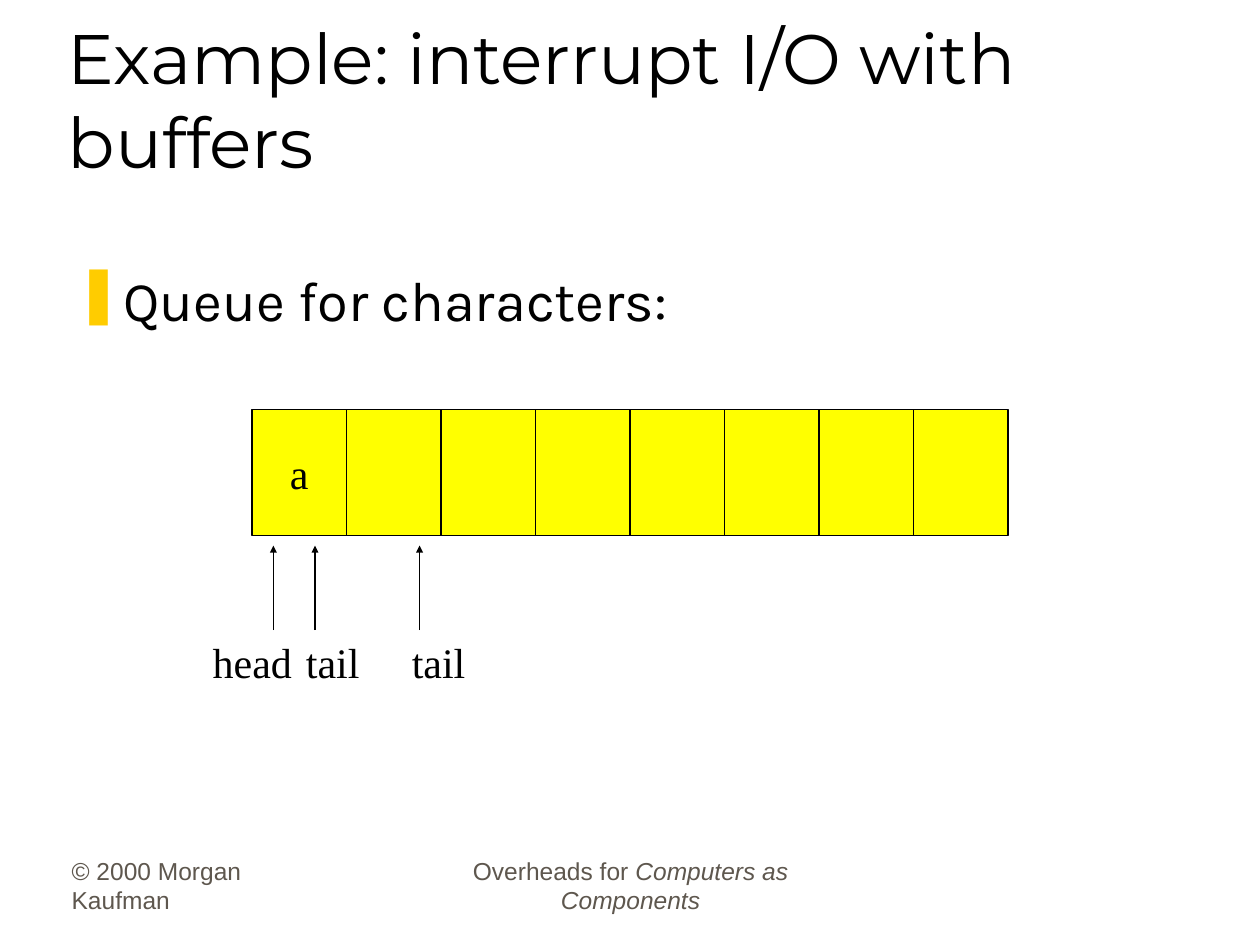
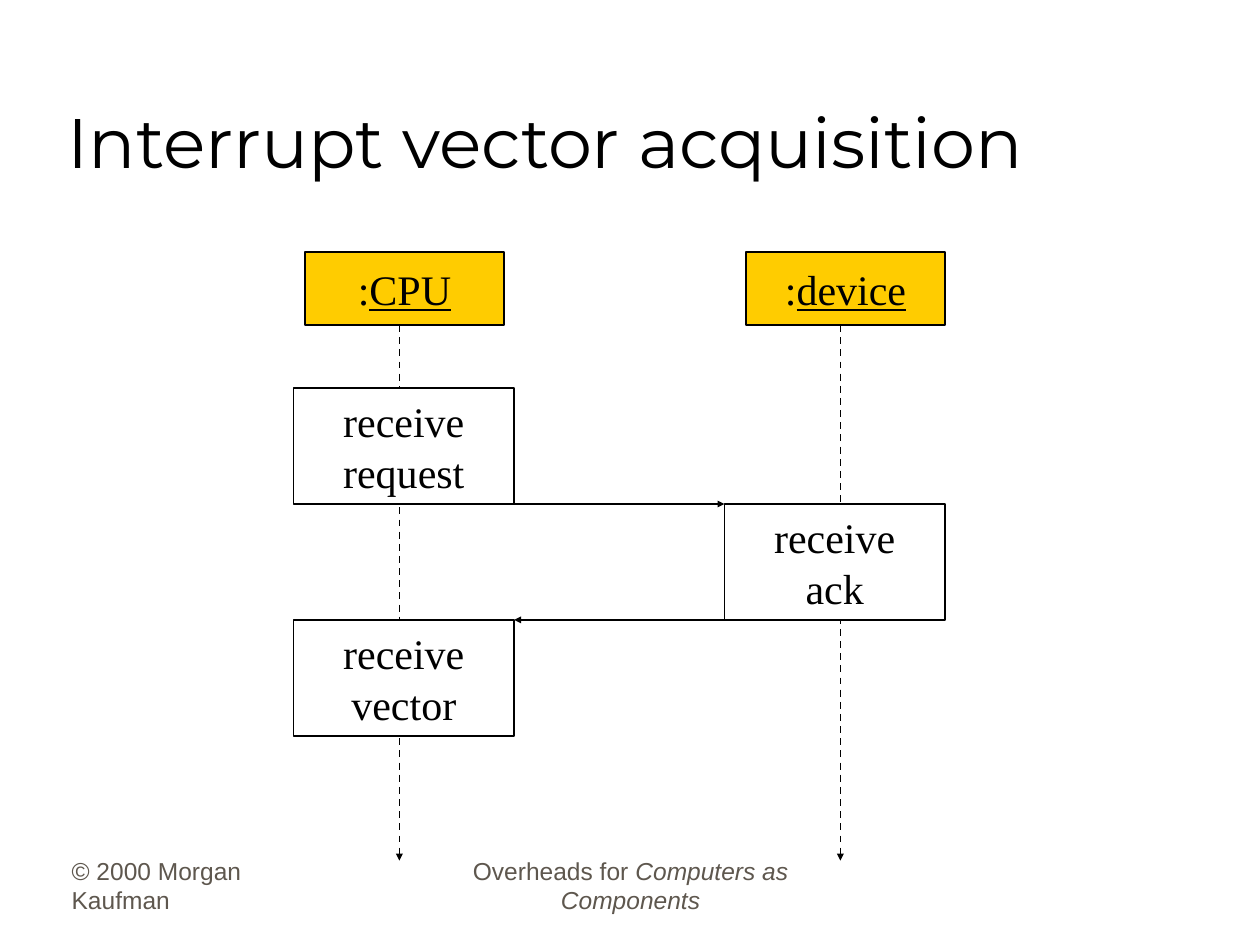
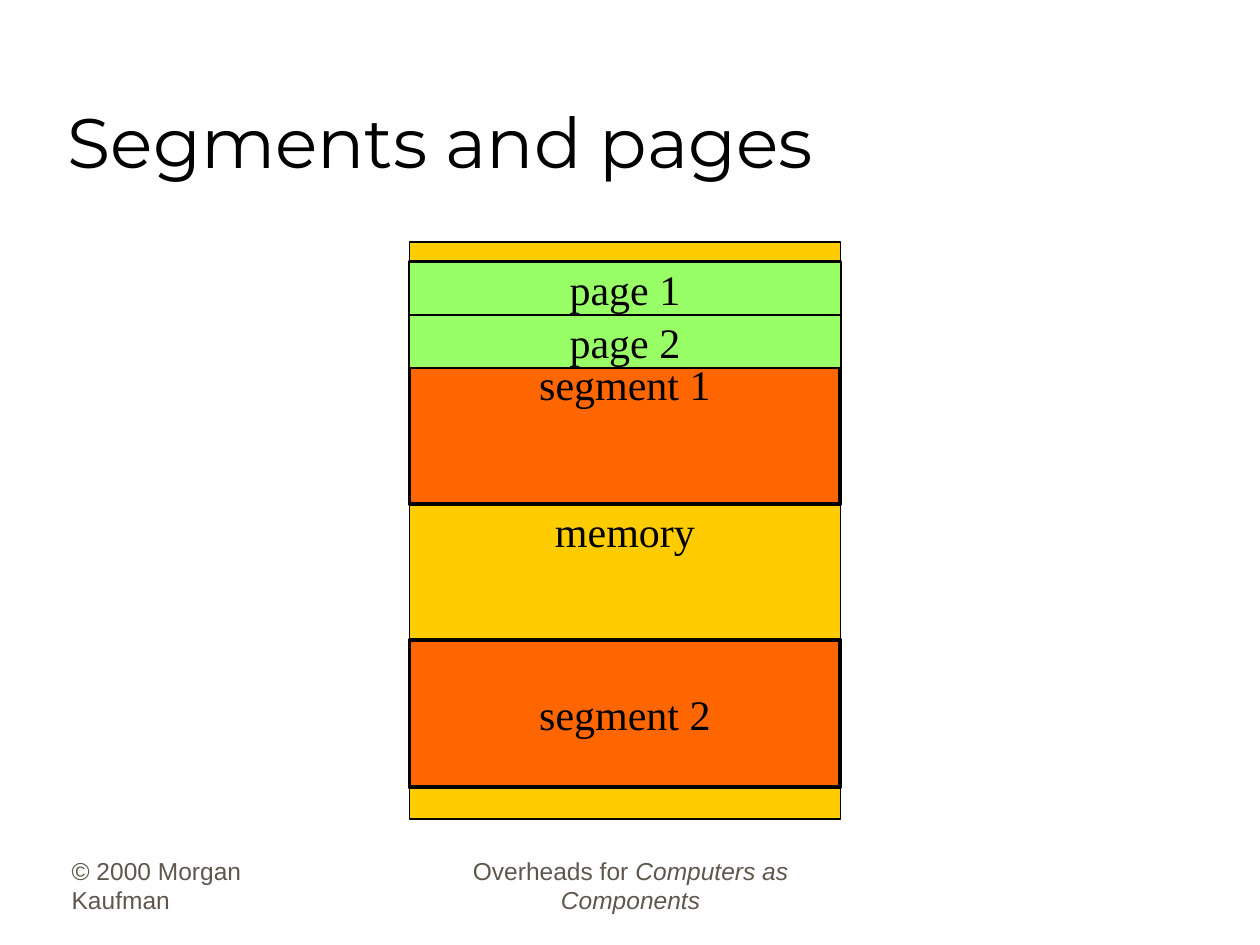
from lxml import etree
from pptx import Presentation
from pptx.dml.color import RGBColor
from pptx.enum.dml import MSO_LINE
from pptx.enum.shapes import MSO_CONNECTOR, MSO_SHAPE
from pptx.enum.text import MSO_ANCHOR, PP_ALIGN
from pptx.oxml.ns import qn
from pptx.util import Inches, Pt

RECTANGLE = MSO_SHAPE.RECTANGLE
STRAIGHT = MSO_CONNECTOR.STRAIGHT
DASH = MSO_LINE.DASH
TOP, MIDDLE, BOTTOM = MSO_ANCHOR.TOP, MSO_ANCHOR.MIDDLE, MSO_ANCHOR.BOTTOM
LEFT, CENTER = PP_ALIGN.LEFT, PP_ALIGN.CENTER

BLACK = RGBColor(0x00, 0x00, 0x00)
WHITE = RGBColor(0xFF, 0xFF, 0xFF)
GRAY = RGBColor(0x5E, 0x57, 0x4E)
YELLOW = RGBColor(0xFF, 0xFF, 0x00)
GOLD = RGBColor(0xFF, 0xCC, 0x00)
ORANGE = RGBColor(0xFF, 0x66, 0x00)
GREEN = RGBColor(0x99, 0xFF, 0x66)

# Text styles: font name, size, colour
TITLE_STYLE = ("Montserrat", 40, BLACK)
BODY_STYLE = ("Karla", 32, BLACK)
LABEL_STYLE = ("Times New Roman", 24, BLACK)
FOOTER_STYLE = ("Arial", 14, GRAY)
LABEL_SPACING = Pt(29)


# Text
def add_run(paragraph, text, style, italic=False, underline=False):
    name, size, color = style
    run = paragraph.add_run()
    run.text = text
    font = run.font
    font.name, font.size = name, Pt(size)
    font.color.rgb = color
    if italic:
        font.italic = True
    if underline:
        font.underline = True


def add_text_box(slide, left, top, width, height, anchor=TOP):
    box = slide.shapes.add_textbox(
        Inches(left), Inches(top), Inches(width), Inches(height))
    box.text_frame.word_wrap = True
    box.text_frame.vertical_anchor = anchor
    return box.text_frame


def add_bullet(slide, text):
    paragraph = add_text_box(slide, 0.5, 2.06, 8.94, 0.85).paragraphs[0]
    properties = paragraph._p.get_or_add_pPr()
    properties.set("marL", str(Inches(0.38)))
    properties.set("indent", str(Inches(-0.38)))
    color = etree.SubElement(properties, qn("a:buClr"))
    etree.SubElement(color, qn("a:srgbClr")).set("val", str(GOLD))
    etree.SubElement(properties, qn("a:buChar")).set("char", "❚")
    add_run(paragraph, text, BODY_STYLE)


def add_label(slide, text, left, width):
    paragraph = add_text_box(slide, left, 5, width, 0.5).paragraphs[0]
    paragraph.line_spacing = LABEL_SPACING
    add_run(paragraph, text, LABEL_STYLE)


# Shapes
def add_box(slide, left, top, width, height, fill, line_width=1.0, lines=()):
    shape = slide.shapes.add_shape(
        RECTANGLE, Inches(left), Inches(top), Inches(width), Inches(height))
    shape.shadow.inherit = False
    shape.fill.solid()
    shape.fill.fore_color.rgb = fill
    shape.line.color.rgb = BLACK
    shape.line.width = Pt(line_width)
    frame = shape.text_frame
    frame.word_wrap = False
    frame.vertical_anchor = MIDDLE
    for index, text in enumerate(lines):
        paragraph = frame.add_paragraph() if index else frame.paragraphs[0]
        paragraph.alignment = CENTER
        paragraph.line_spacing = LABEL_SPACING
        add_run(paragraph, text, LABEL_STYLE)
    return shape


def add_arrow(slide, x1, y1, x2, y2, dashed=False):
    arrow = slide.shapes.add_connector(
        STRAIGHT, Inches(x1), Inches(y1), Inches(x2), Inches(y2))
    arrow.line.color.rgb = BLACK
    arrow.line.width = Pt(1)
    if dashed:
        arrow.line.dash_style = DASH
    arrowhead = etree.SubElement(arrow.line._get_or_add_ln(), qn("a:tailEnd"))
    arrowhead.set("type", "triangle")
    arrowhead.set("w", "sm")
    arrowhead.set("len", "sm")
    etree.SubElement(arrow._element.spPr, qn("a:effectLst"))


def add_lifeline(slide, name, left):
    top, height = 2, 0.58
    head = add_box(slide, left, top, 1.58, height, GOLD, 0.75, [":"])
    add_run(head.text_frame.paragraphs[0], name, LABEL_STYLE, underline=True)
    add_arrow(slide, left + 0.75, top + height, left + 0.75, 6.83, dashed=True)


# Shared frame of every slide
def add_slide(presentation, title):
    slide = presentation.slides.add_slide(presentation.slide_layouts[6])
    copyright_line = add_text_box(slide, 0.47, 6.81, 2.08, 0.5, BOTTOM).paragraphs[0]
    add_run(copyright_line, "© 2000 Morgan Kaufman", FOOTER_STYLE)
    book_line = add_text_box(slide, 3.42, 6.81, 3.17, 0.5, BOTTOM).paragraphs[0]
    book_line.alignment = CENTER
    add_run(book_line, "Overheads for ", FOOTER_STYLE)
    add_run(book_line, "Computers as Components", FOOTER_STYLE, italic=True)
    heading = add_text_box(slide, 0.44, 0.25, 8.5, 1.25, BOTTOM).paragraphs[0]
    heading.alignment = LEFT
    add_run(heading, title, TITLE_STYLE)
    return slide


# Slides
def build_queue(presentation):
    slide = add_slide(presentation, "Example: interrupt I/O with buffers")
    add_bullet(slide, "Queue for characters:")
    cell_width = 0.75
    for index in range(8):
        add_box(slide, 2 + index * cell_width, 3.25, cell_width, 1, YELLOW,
                lines=[] if index else ["a"])
    pointers = [("head", 2.17, 1.59, 0.9),
                ("tail", 2.5, 2.33, 0.7),
                ("tail", 3.33, 3.17, 0.7)]
    for text, arrow_x, label_left, label_width in pointers:
        add_arrow(slide, arrow_x, 5, arrow_x, 4.33)
        add_label(slide, text, label_left, label_width)


def build_vector_sequence(presentation):
    slide = add_slide(presentation, "Interrupt vector acquisition")
    add_lifeline(slide, "CPU", 2.42)
    add_lifeline(slide, "device", 5.92)
    cpu_left, device_left, width, height = 2.33, 5.75, 1.75, 0.92
    request_top, ack_top, vector_top = 3.08, 4, 4.92
    for left, top, action in [(cpu_left, request_top, "request"),
                              (device_left, ack_top, "ack"),
                              (cpu_left, vector_top, "vector")]:
        add_box(slide, left, top, width, height, WHITE, lines=["receive", action])
    cpu_right = cpu_left + width
    add_arrow(slide, cpu_right, ack_top, device_left, ack_top)
    add_arrow(slide, device_left, vector_top, cpu_right, vector_top)


def build_memory_map(presentation):
    slide = add_slide(presentation, "Segments and pages")
    regions = [("memory", 1.92, 4.58, GOLD, 0.75),
               ("segment 1", 2.08, 1.92, ORANGE, 2.25),
               ("segment 2", 5.08, 1.17, ORANGE, 2.25),
               ("page 1", 2.08, 0.42, GREEN, 0.75),
               ("page 2", 2.5, 0.42, GREEN, 0.75)]
    for text, top, height, fill, line_width in regions:
        add_box(slide, 3.25, top, 3.42, height, fill, line_width, [text])


def main():
    presentation = Presentation()
    presentation.slide_width = Inches(10)
    presentation.slide_height = Inches(7.5)
    build_queue(presentation)
    build_vector_sequence(presentation)
    build_memory_map(presentation)
    presentation.save("out.pptx")


if __name__ == "__main__":
    main()
